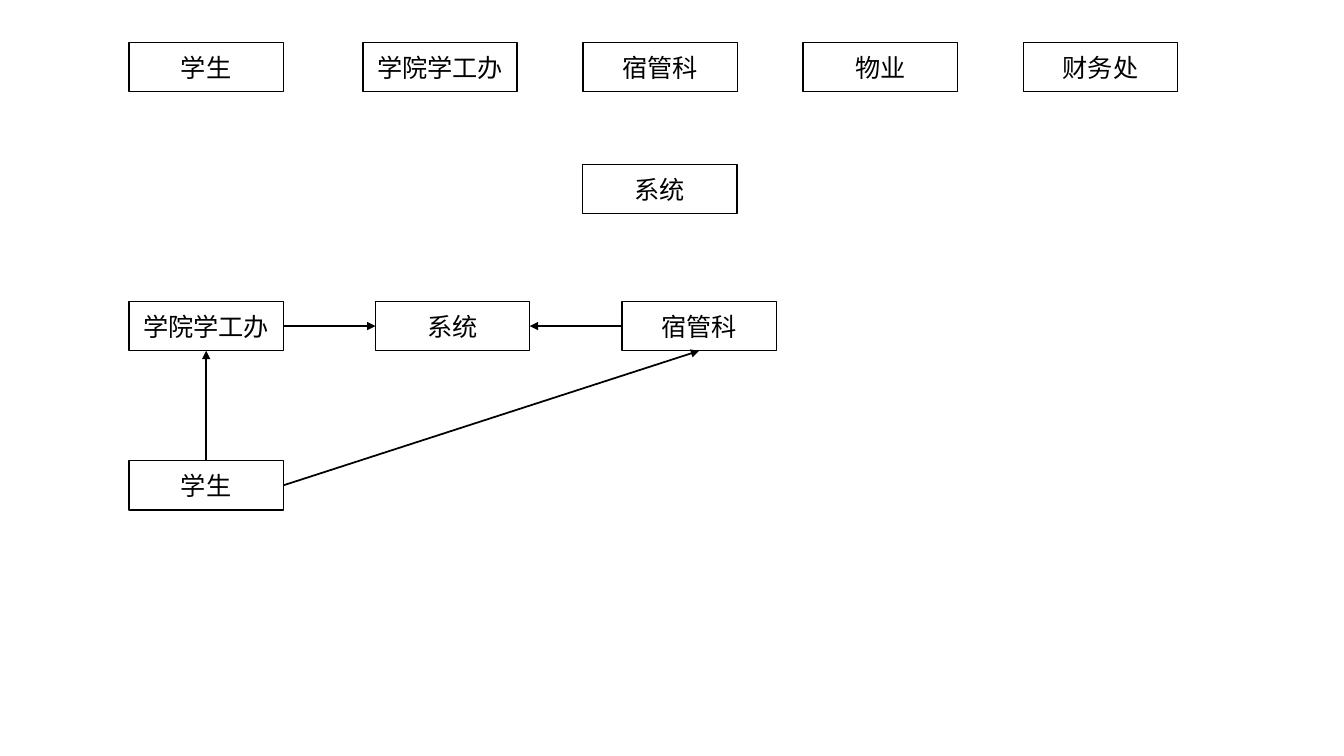
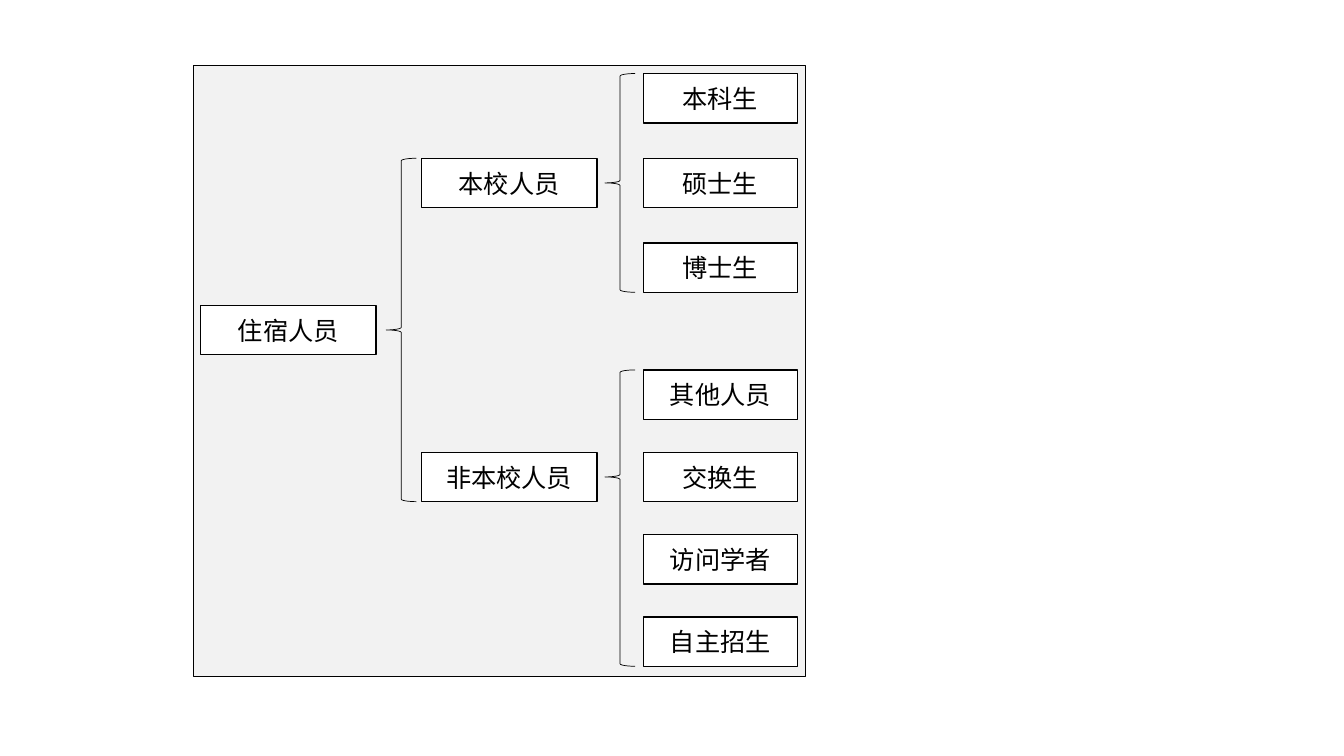
from lxml import etree
from pptx import Presentation
from pptx import util as u
from pptx.dml.color import RGBColor
from pptx.enum import shapes, text
from pptx.oxml import ns

BLACK, WHITE, PANEL = "000000", "FFFFFF", "F2F2F2"
FONT = "Noto Sans CJK SC"
BOX_WIDTH, WIDE_BOX, BOX_HEIGHT = 1.53, 1.74, 0.49
BRACE_WIDTH = 0.3
TOP, LEFT, BOTTOM, RIGHT = range(4)


def color(value):
    """Turn a hex string into a colour."""
    return RGBColor.from_string(value)


def add_outline(parent, kind, left, top, width, height, line_width=1, fill=None):
    """Add a black-outlined shape, hollow unless a fill is given."""
    shape = parent.shapes.add_shape(kind, *map(u.Inches, (left, top, width, height)))
    shape.shadow.inherit = False
    shape.line.color.rgb = color(BLACK)
    shape.line.width = u.Pt(line_width)
    if fill:
        shape.fill.solid()
        shape.fill.fore_color.rgb = color(fill)
    else:
        shape.fill.background()
    return shape


def add_box(parent, label, left, top, width=BOX_WIDTH):
    """Add a white box with a centred label."""
    shape = add_outline(parent, shapes.MSO_SHAPE.RECTANGLE, left, top, width, BOX_HEIGHT, fill=WHITE)
    frame = shape.text_frame
    frame.vertical_anchor = text.MSO_ANCHOR.MIDDLE
    frame.text = label
    paragraph = frame.paragraphs[0]
    paragraph.alignment = text.PP_ALIGN.CENTER
    paragraph.font.size = u.Pt(18)
    paragraph.font.color.rgb = color(BLACK)
    paragraph.font.name = FONT
    defaults = paragraph._p.get_or_add_pPr().get_or_add_defRPr()
    etree.SubElement(defaults, ns.qn("a:ea"), typeface=FONT)
    return shape


def add_row(parent, labels, left, top, pitch):
    """Add evenly spaced boxes and return them."""
    return [add_box(parent, label, left + i * pitch, top) for i, label in enumerate(labels)]


def add_arrow(slide, start, start_side, end, end_side):
    """Connect two boxes with an arrow."""
    arrow = slide.shapes.add_connector(shapes.MSO_CONNECTOR.STRAIGHT, 0, 0, 0, 0)
    arrow.begin_connect(start, start_side)
    arrow.end_connect(end, end_side)
    arrow.line.color.rgb = color(BLACK)
    arrow.line.width = u.Pt(1.25)
    etree.SubElement(arrow.line._get_or_add_ln(), ns.qn("a:tailEnd"), type="triangle")
    etree.SubElement(arrow._element.spPr, ns.qn("a:effectLst"))


def add_flow(slide, left, top, width, height):
    """Add the approval flow between students, offices and system."""
    pitch = (width - BOX_WIDTH) / 2
    college, system, dormitory = add_row(slide, ["学院学工办", "系统", "宿管科"], left, top, pitch)
    student = add_box(slide, "学生", left, top + height - BOX_HEIGHT)
    add_arrow(slide, student, TOP, college, BOTTOM)
    add_arrow(slide, college, RIGHT, system, LEFT)
    add_arrow(slide, student, RIGHT, dormitory, BOTTOM)
    add_arrow(slide, dormitory, LEFT, system, RIGHT)


def add_brace(parent, left, top, height, point=0.5):
    """Add a left brace whose tip sits at a fraction of its height."""
    brace = add_outline(parent, shapes.MSO_SHAPE.LEFT_BRACE, left, top, BRACE_WIDTH, height, 0.5)
    brace.adjustments[1] = point


def add_branch(parent, label, leaves, left, top, height):
    """Add a category level with its second leaf and return its top."""
    pitch = (height - BOX_HEIGHT) / (len(leaves) - 1)
    category_top = top + pitch
    add_box(parent, label, left, category_top, WIDE_BOX)
    add_brace(parent, left + 1.82, top, height, (pitch + BOX_HEIGHT / 2) / height)
    for i, leaf in enumerate(leaves):
        add_box(parent, leaf, left + 2.2, top + i * pitch)
    return category_top


def add_tree(slide, left, top, width, height):
    """Add the resident classification tree on its grey panel."""
    group = slide.shapes.add_group_shape()
    add_outline(group, shapes.MSO_SHAPE.RECTANGLE, left, top, width, height, fill=PANEL)
    branch_left = left + 2.26
    first = add_branch(group, "本校人员", ["本科生", "硕士生", "博士生"],
                       branch_left, top + 0.08, 2.17)
    last = add_branch(group, "非本校人员", ["其他人员", "交换生", "访问学者", "自主招生"],
                      branch_left, top + 3.02, 2.94)
    add_box(group, "住宿人员", left + 0.07, (first + last) / 2, WIDE_BOX)
    add_brace(group, left + 1.91, first, last - first + BOX_HEIGHT)


def main():
    """Build and save both slides."""
    presentation = Presentation()
    presentation.slide_width, presentation.slide_height = u.Inches(13.33), u.Inches(7.5)
    blank = presentation.slide_layouts[6]

    roles = presentation.slides.add_slide(blank)
    add_box(roles, "学生", 1.28, 0.42)
    add_row(roles, ["学院学工办", "宿管科", "物业", "财务处"], 3.6, 0.42, 6.55 / 3)
    add_box(roles, "系统", 5.78, 1.63)
    add_flow(roles, 1.28, 2.99, 6.42, 2.07)

    residents = presentation.slides.add_slide(blank)
    add_tree(residents, 1.92, 0.65, 6.07, 6.06)
    presentation.save("out.pptx")


main()
